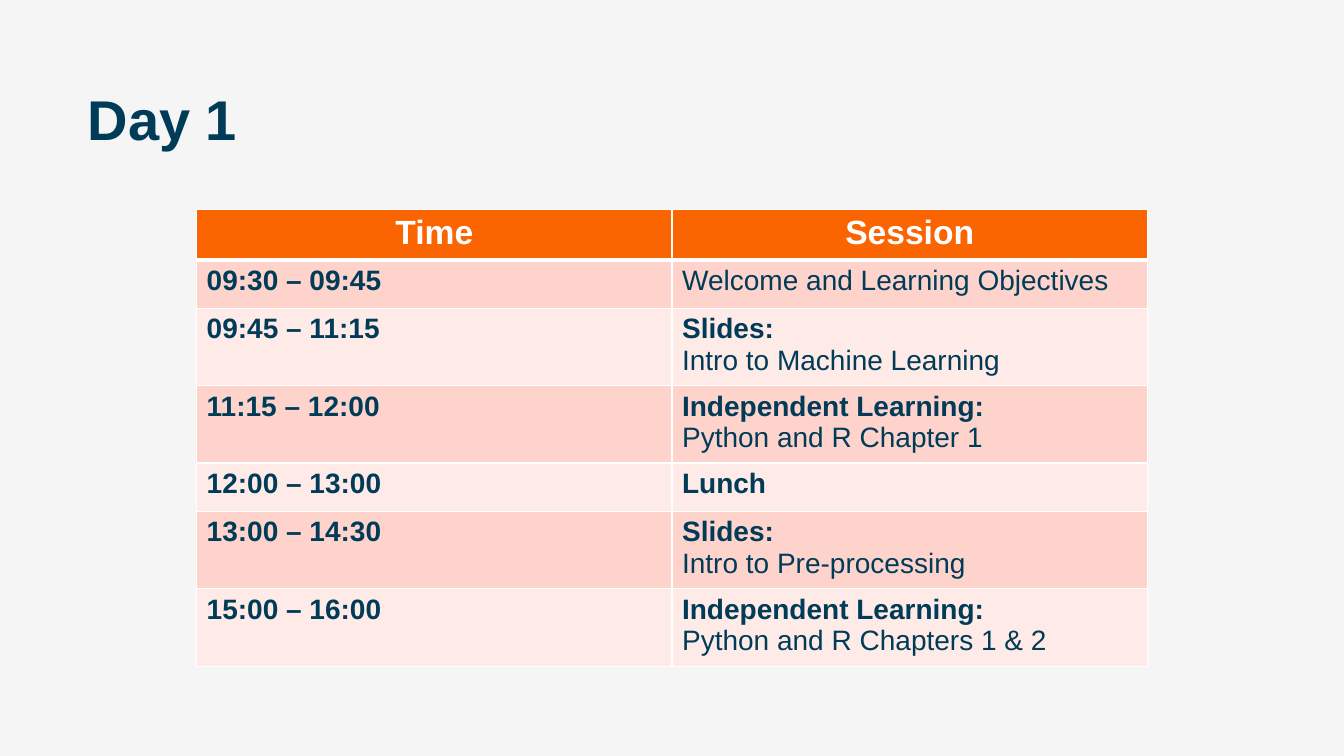
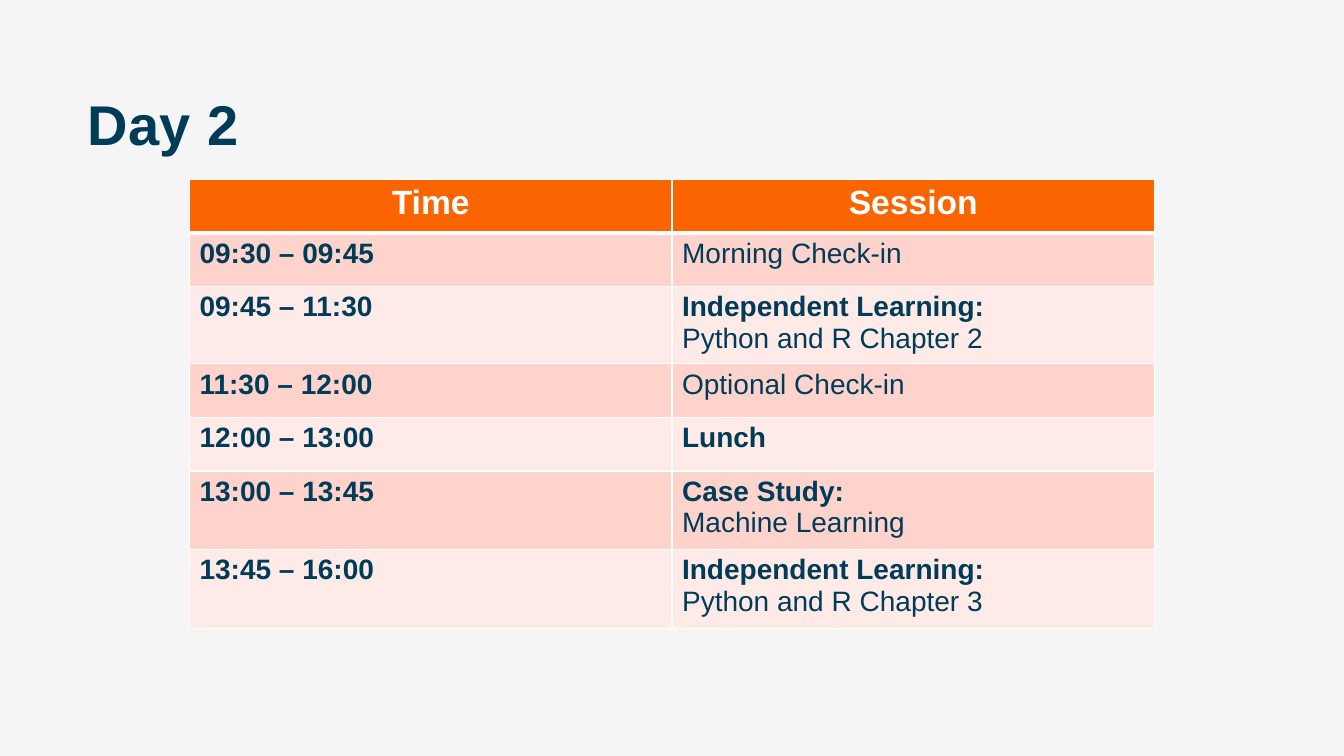
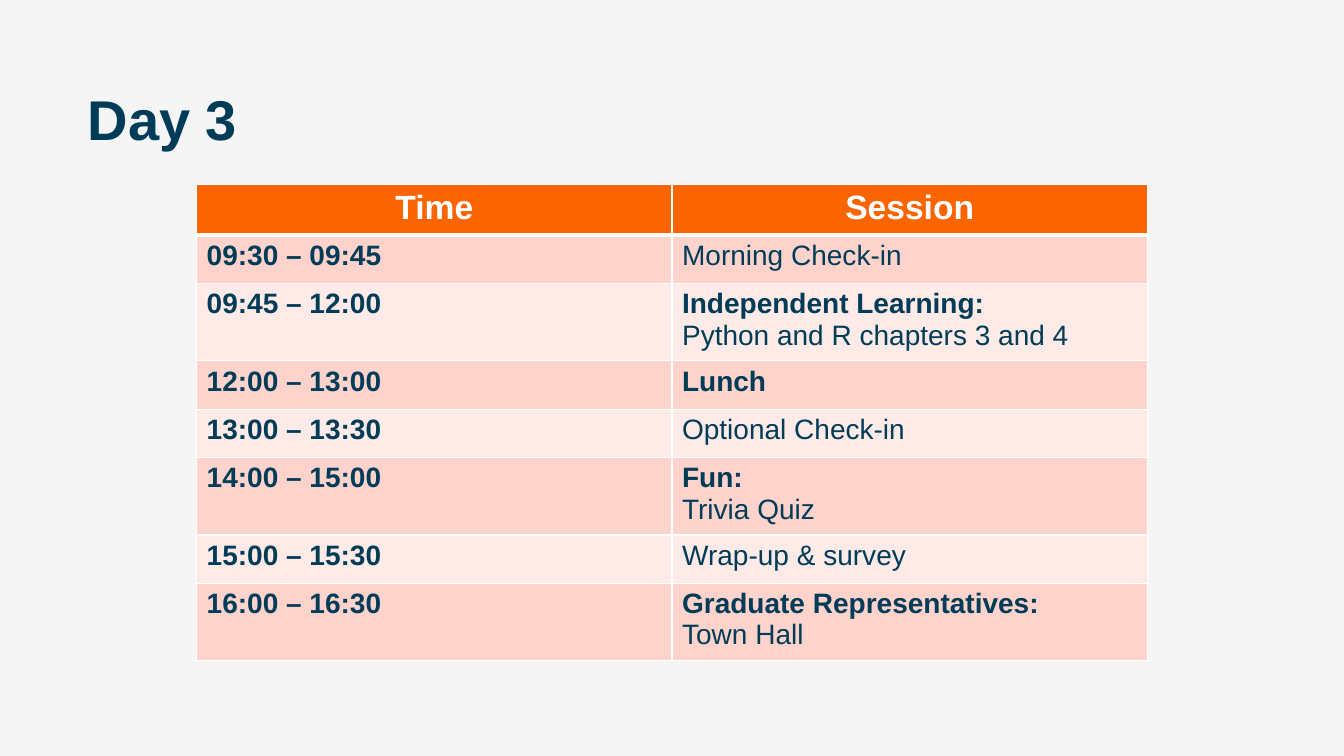
from pptx import Presentation
from pptx.dml.color import RGBColor
from pptx.enum.text import MSO_ANCHOR, PP_ALIGN
from pptx.oxml import parse_xml
from pptx.oxml.ns import nsdecls
from pptx.util import Cm, Pt

COLORS = {
    "background": "F5F5F6",
    "title": "003C58",
    "text": "003B57",
    "header": "FA6401",
    "band_dark": "FDD3CC",
    "band_light": "FEEAE7",
    "white": "FFFFFF",
}
FONT = "Arial"
TWO_LINE_HEIGHT = 1.83


def rgb(name):
    return RGBColor.from_string(COLORS[name])


def set_borders(cell, **widths):
    """Draw white cell borders; widths in points by side: L, R, T, B."""
    tcPr = cell._tc.get_or_add_tcPr()
    for side in "LRTB":
        tcPr.append(parse_xml(
            f'<a:ln{side} {nsdecls("a")} w="{Pt(widths.get(side, 1))}">'
            f'<a:solidFill><a:srgbClr val="{COLORS["white"]}"/></a:solidFill>'
            f'</a:ln{side}>'))


class Agenda:
    """Holds the deck style and the slide being filled."""

    def __init__(self):
        self.prs = Presentation()
        self.prs.slide_width, self.prs.slide_height = Cm(33.87), Cm(19.05)
        self.s = None

    def add_slide(self):
        self.s = self.prs.slides.add_slide(self.prs.slide_layouts[6])
        fill = self.s.background.fill
        fill.solid()
        fill.fore_color.rgb = rgb("background")

    def style(self, p, size, color, bold):
        p.font.name, p.font.size, p.font.bold = FONT, Pt(size), bold
        p.font.color.rgb = rgb(color)

    def title(self, day, space_size):
        tf = self.s.shapes.add_textbox(Cm(2.21), Cm(2.26), Cm(4.3), Cm(1.88)).text_frame
        tf.word_wrap = True
        tf.vertical_anchor = MSO_ANCHOR.TOP
        tf.margin_left = tf.margin_right = tf.margin_top = tf.margin_bottom = 0
        p = tf.paragraphs[0]
        p.line_spacing, p.space_after = 0.95, Pt(10)
        self.style(p, 40, "title", True)
        for text, size in (("Day", 40), (" ", space_size), (str(day), 40)):
            r = p.add_run()
            r.text, r.font.size = text, Pt(size)

    def cell(self, cell, lines, fill, size=20, color="text", bold=None, align=None, **borders):
        """Fill a cell; unless bold is given, headings and Lunch are bold."""
        set_borders(cell, **borders)
        cell.fill.solid()
        cell.fill.fore_color.rgb = rgb(fill)
        cell.text = "\n".join(lines)
        for p, line in zip(cell.text_frame.paragraphs, lines):
            p.alignment = align
            strong = line.endswith(":") or line == "Lunch"
            self.style(p, size, color, strong if bold is None else bold)

    def timetable(self, top, width, heights, sessions):
        left = (self.prs.slide_width - Cm(width)) // 2
        table = self.s.shapes.add_table(
            len(sessions) + 1, 2, left, Cm(top), Cm(width), Cm(sum(heights))).table
        for column in table.columns:
            column.width = Cm(width / 2)
        table.rows[0].height = Cm(heights[0])
        for i, label in enumerate(("Time", "Session")):
            self.cell(table.cell(0, i), [label], "header", 24, "white", True,
                      PP_ALIGN.CENTER, B=3)
        for n, (time, *lines) in enumerate(sessions, 1):
            least = TWO_LINE_HEIGHT if len(lines) > 1 else 0
            table.rows[n].height = Cm(max(heights[n], least))
            fill = "band_dark" if n % 2 else "band_light"
            borders = {"T": 3 if n == 1 else 1}
            self.cell(table.cell(n, 0), [time], fill, bold=True, **borders)
            self.cell(table.cell(n, 1), lines, fill, **borders)


DAYS = [
    dict(space_size=40, top=5.28, width=23.96, heights=[1.22] * 7, sessions=[
        ("09:30 – 09:45", "Welcome and Learning Objectives"),
        ("09:45 – 11:15", "Slides:", "Intro to Machine Learning"),
        ("11:15 – 12:00", "Independent Learning:", "Python and R Chapter 1"),
        ("12:00 – 13:00", "Lunch"),
        ("13:00 – 14:30", "Slides:", "Intro to Pre-processing"),
        ("15:00 – 16:00", "Independent Learning:", "Python and R Chapters 1 & 2"),
    ]),
    dict(space_size=44, top=4.52, width=24.32, heights=[1.35] * 5 + [1.98] * 2, sessions=[
        ("09:30 – 09:45", "Morning Check-in"),
        ("09:45 – 11:30", "Independent Learning:", "Python and R Chapter 2"),
        ("11:30 – 12:00", "Optional Check-in"),
        ("12:00 – 13:00", "Lunch"),
        ("13:00 – 13:45", "Case Study:", "Machine Learning"),
        ("13:45 – 16:00", "Independent Learning:", "Python and R Chapter 3"),
    ]),
    dict(space_size=40, top=4.65, width=23.96, heights=[1.22] * 8, sessions=[
        ("09:30 – 09:45", "Morning Check-in"),
        ("09:45 – 12:00", "Independent Learning:", "Python and R chapters 3 and 4"),
        ("12:00 – 13:00", "Lunch"),
        ("13:00 – 13:30", "Optional Check-in"),
        ("14:00 – 15:00", "Fun:", "Trivia Quiz"),
        ("15:00 – 15:30", "Wrap-up & survey"),
        ("16:00 – 16:30", "Graduate Representatives:", "Town Hall"),
    ]),
]


def main():
    agenda = Agenda()
    for number, day in enumerate(DAYS, 1):
        agenda.add_slide()
        agenda.title(number, day["space_size"])
        agenda.timetable(day["top"], day["width"], day["heights"], day["sessions"])
    agenda.prs.save("out.pptx")


if __name__ == "__main__":
    main()
